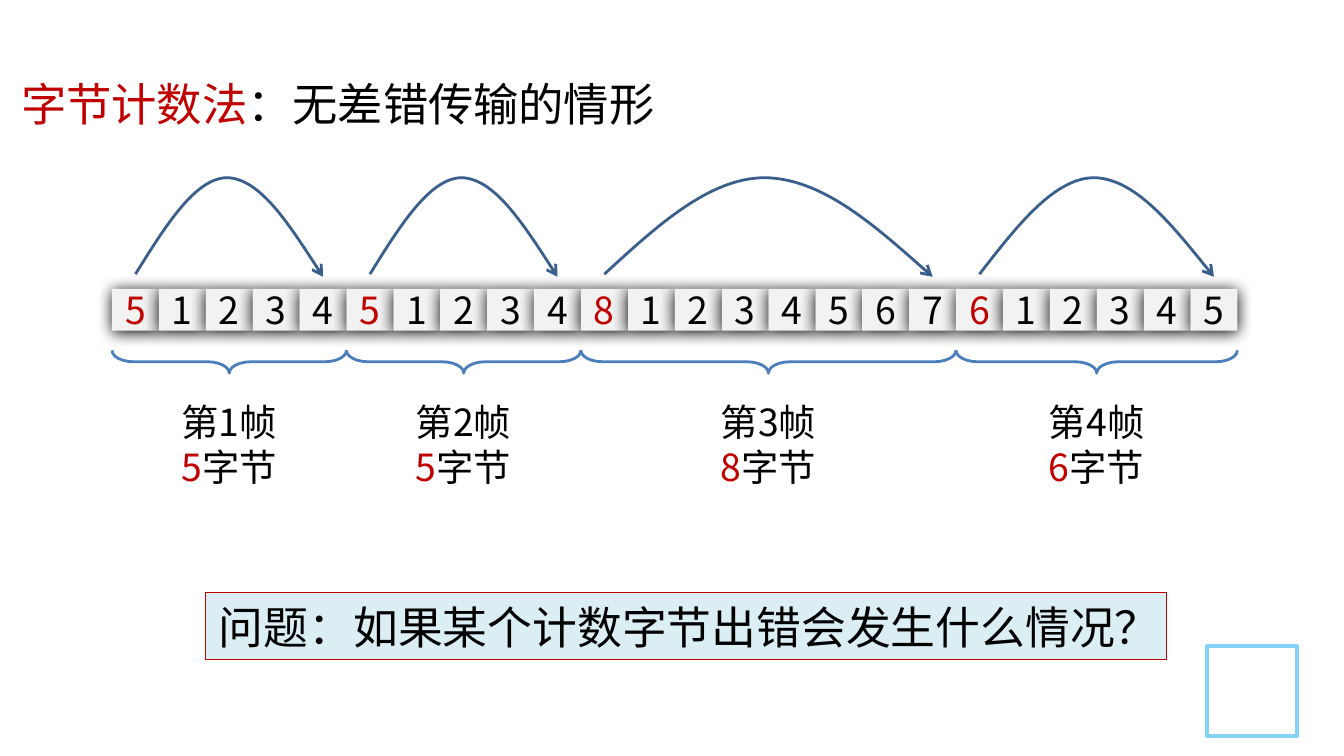
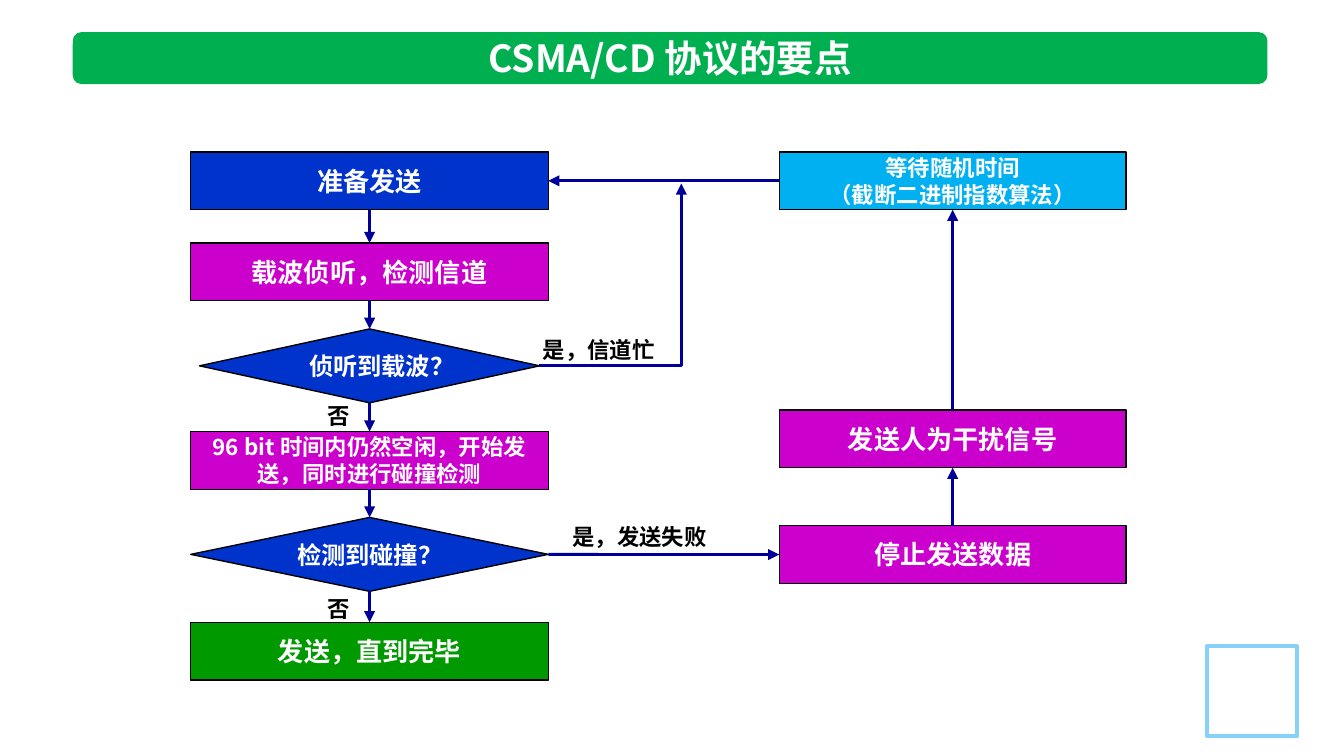
from dataclasses import dataclass

from lxml import etree
from pptx import Presentation
from pptx.dml.color import RGBColor
from pptx.enum.shapes import MSO_CONNECTOR, MSO_SHAPE
from pptx.enum.text import MSO_ANCHOR, MSO_AUTO_SIZE, PP_ALIGN
from pptx.oxml.ns import qn
from pptx.util import Pt

RECT, ROUND, DIAMOND, BRACE = (MSO_SHAPE.RECTANGLE, MSO_SHAPE.ROUNDED_RECTANGLE,
                               MSO_SHAPE.DIAMOND, MSO_SHAPE.LEFT_BRACE)
STRAIGHT, ELBOW = MSO_CONNECTOR.STRAIGHT, MSO_CONNECTOR.ELBOW
LEFT, CENTER = PP_ALIGN.LEFT, PP_ALIGN.CENTER
TOP, MIDDLE = MSO_ANCHOR.TOP, MSO_ANCHOR.MIDDLE
FIT_SHAPE = MSO_AUTO_SIZE.SHAPE_TO_FIT_TEXT
SITE_TOP, SITE_LEFT, SITE_BOTTOM, SITE_RIGHT = range(4)

CJK, LATIN = "Noto Sans CJK SC", "Calibri"
COLORS = {
    "black": "000000", "white": "FFFFFF", "red": "C00000", "corner": "85D1F7",
    "cell": "F2F2F2", "brace": "4B7EBC", "arc": "3A5F8C", "question": "DBEEF4",
    "band": "00B050", "blue": "0033CC", "purple": "CC00CC", "green": "009900",
    "sky": "00B0F0", "arrow": "000099",
}

# Byte row on the first slide
ROW_LEFT, ROW_TOP, CELL_W, CELL_H = 60, 154.8, 25.12, 22.4
BRACE_Y, BRACE_H = 193.8, 12.2
CAPTION_TOP, CAPTION_W, CAPTION_H = 210.2, 75, 55.4
FRAME_SIZES = [5, 5, 8, 6]
# Two cubic curves: share of the span, and height
ARC = [(0, 146.9), (0.16, 121), (0.32, 95.2), (0.49, 95.2),
       (0.66, 95.8), (0.83, 121.7), (1, 148.3)]

# Flow chart on the second slide
LEFT_X, LEFT_W, RIGHT_X, RIGHT_W = 198, 191.5, 510.4, 185.8
BOX_H, DIAMOND_H = 31, 39.6


@dataclass
class Node:
    name: str
    lines: list[str]
    cx: float
    top: float
    width: float
    color: str
    size: float = 14
    kind: MSO_SHAPE = RECT
    height: float = BOX_H


@dataclass
class Link:
    start: str
    start_site: int
    end: str
    end_site: int


@dataclass
class Label:
    text: str
    left: float
    top: float
    width: float


NODES = [
    Node("ready", ["准备发送"], LEFT_X, 81.4, LEFT_W, "blue"),
    Node("listen", ["载波侦听，检测信道"], LEFT_X, 130.2, LEFT_W, "purple"),
    Node("carrier", ["侦听到载波？"], LEFT_X, 176.2, 182.2, "blue", 13, DIAMOND, DIAMOND_H),
    Node("send", ["96 bit 时间内仍然空闲，开始发送，同时进行碰撞检测"],
         LEFT_X, 231.2, LEFT_W, "purple", 12),
    Node("collision", ["检测到碰撞？"], LEFT_X, 277.2, LEFT_W, "blue", 13, DIAMOND, DIAMOND_H),
    Node("finish", ["发送，直到完毕"], LEFT_X, 333.4, LEFT_W, "green"),
    Node("stop", ["停止发送数据"], RIGHT_X, 281.6, RIGHT_W, "purple"),
    Node("wait", ["等待随机时间", "（截断二进制指数算法）"], RIGHT_X, 81.4, RIGHT_W, "sky", 12),
    Node("jam", ["发送人为干扰信号"], RIGHT_X, 219.6, RIGHT_W, "purple"),
]
MAIN_FLOW = ["ready", "listen", "carrier", "send", "collision", "finish"]
LINKS = [Link(a, SITE_BOTTOM, b, SITE_TOP) for a, b in zip(MAIN_FLOW, MAIN_FLOW[1:])] + [
    Link("collision", SITE_RIGHT, "stop", SITE_LEFT),
    Link("stop", SITE_TOP, "jam", SITE_BOTTOM),
    Link("jam", SITE_TOP, "wait", SITE_BOTTOM),
    Link("wait", SITE_LEFT, "ready", SITE_RIGHT),
]
LABELS = [
    Label("是，信道忙", 283.7, 176.4, 74.9),
    Label("是，发送失败", 299.5, 276.8, 87.1),
    Label("否", 168.5, 315.4, 26.6),
    Label("否", 168.5, 211.7, 26.6),
]


# Shared helpers
def rgb(name: str) -> RGBColor:
    return RGBColor.from_string(COLORS[name])


def write(sp, lines: list, *, size: float, color: str = "black", font: str = CJK,
          bold: bool = False, align=CENTER, anchor=TOP, wrap: bool = True,
          fit: bool = False, insets: tuple = (7.2, 3.6)) -> None:
    """Each line is a string or a list of (text, colour) runs."""
    tf = sp.text_frame
    tf.word_wrap, tf.vertical_anchor = wrap, anchor
    tf.margin_left = tf.margin_right = Pt(insets[0])
    tf.margin_top = tf.margin_bottom = Pt(insets[1])
    if fit:
        tf.auto_size = FIT_SHAPE
    for i, line in enumerate(lines):
        p = tf.paragraphs[0] if i == 0 else tf.add_paragraph()
        p.alignment = align
        for text, tint in [(line, color)] if isinstance(line, str) else line:
            r = p.add_run()
            r.text = text
            r.font.size, r.font.bold, r.font.name = Pt(size), bold, font
            r.font.color.rgb = rgb(tint)
            etree.SubElement(r.font._element, qn("a:ea"), typeface=font)


def add_box(s, kind, left: float, top: float, width: float, height: float, *,
            fill: str = "", line: str = "", weight: float = 0.75):
    sp = s.shapes.add_shape(kind, Pt(left), Pt(top), Pt(width), Pt(height))
    sp.shadow.inherit = False
    if fill:
        sp.fill.solid()
        sp.fill.fore_color.rgb = rgb(fill)
    else:
        sp.fill.background()
    if line:
        sp.line.color.rgb, sp.line.width = rgb(line), Pt(weight)
    else:
        sp.line.fill.background()
    return sp


def add_text(s, left: float, top: float, width: float, height: float, lines: list, **fmt):
    sp = s.shapes.add_textbox(Pt(left), Pt(top), Pt(width), Pt(height))
    write(sp, lines, fit=True, **fmt)


def add_arrowhead(sp, color: str, head: str) -> None:
    sp.line.color.rgb, sp.line.width = rgb(color), Pt(1.5)
    etree.SubElement(sp.line._get_or_add_ln(), qn("a:tailEnd"), type=head)


def add_arrow(s, kind, x1: float = 0, y1: float = 0, x2: float = 0, y2: float = 0):
    c = s.shapes.add_connector(kind, Pt(x1), Pt(y1), Pt(x2), Pt(y2))
    add_arrowhead(c, "arrow", "triangle")
    etree.SubElement(c._element.spPr, qn("a:effectLst"))
    return c


def new_slide(prs):
    s = prs.slides.add_slide(prs.slide_layouts[6])
    add_box(s, RECT, 646.6, 346.3, 48.2, 48.2, fill="white", line="corner", weight=2)
    return s


# Byte counting slide
def add_cell(s, left: float, digit: int, color: str) -> None:
    sp = add_box(s, RECT, left, ROW_TOP, CELL_W, CELL_H, fill="cell")
    effects = sp._element.spPr.find(qn("a:effectLst"))
    shadow = etree.SubElement(effects, qn("a:outerShdw"), blurRad=str(Pt(8.5)),
                              dist=str(Pt(1)), dir="5400000", algn="t", rotWithShape="0")
    etree.SubElement(shadow, qn("a:srgbClr"), val=COLORS["black"])
    write(sp, [str(digit)], size=20, color=color, anchor=MIDDLE, wrap=False, insets=(1.4, 3.6))


def add_arc(s, x1: float, x2: float) -> None:
    points = [(Pt(x1 + t * (x2 - x1)), Pt(y)) for t, y in ARC]
    builder = s.shapes.build_freeform(*points[0])
    builder.add_line_segments(points[1:], close=False)
    sp = builder.convert_to_shape()
    # Join every three segments into one cubic curve
    segments = list(sp._element.iter(qn("a:lnTo")))
    for i in range(0, len(segments), 3):
        curve = etree.Element(qn("a:cubicBezTo"))
        segments[i].addprevious(curve)
        for segment in segments[i:i + 3]:
            curve.append(segment[0])
            segment.getparent().remove(segment)
    sp.shadow.inherit = False
    sp.fill.background()
    add_arrowhead(sp, "arc", "arrow")


def add_frame(s, number: int, left: float, size: int) -> None:
    width = size * CELL_W
    cx = left + width / 2
    brace = add_box(s, BRACE, cx - BRACE_H / 2, BRACE_Y - width / 2, BRACE_H, width,
                    line="brace", weight=1.5)
    brace.rotation = 270
    brace.adjustments[0], brace.adjustments[1] = 0.95, 0.5
    add_text(s, cx - CAPTION_W / 2, CAPTION_TOP, CAPTION_W, CAPTION_H,
             [f"第{number}帧", [(str(size), "red"), ("字节", "black")]], size=20)
    for i in range(size):
        add_cell(s, left + i * CELL_W, i or size, "black" if i else "red")


def build_counting(prs) -> None:
    s = new_slide(prs)
    left, spans = ROW_LEFT, []
    for number, size in enumerate(FRAME_SIZES, 1):
        add_frame(s, number, left, size)
        spans.append((left + CELL_W / 2, left + (size - 0.5) * CELL_W))
        left += size * CELL_W
    for x1, x2 in spans:
        add_arc(s, x1, x2)
    sp = add_box(s, RECT, 110.2, 317.5, 514.8, 36, fill="question", line="red")
    write(sp, ["问题：如果某个计数字节出错会发生什么情况？"], size=24, font=LATIN,
          align=LEFT, fit=True)
    add_text(s, 4.3, 37.4, 357.1, 36.7,
             [[("字节计数法", "red"), ("：无差错传输的情形", "black")]],
             size=24.3, font=LATIN, align=LEFT, wrap=False)


# CSMA/CD slide
def build_flow(prs) -> None:
    s = new_slide(prs)
    add_box(s, ROUND, 39, 17.2, 640, 27.8, fill="band")
    add_text(s, 247.7, 15.1, 222.5, 31.7, ["CSMA/CD 协议的要点"], size=20,
             color="white", bold=True, wrap=False)
    shapes = {}
    for n in NODES:
        sp = add_box(s, n.kind, n.cx - n.width / 2, n.top, n.width, n.height,
                     fill=n.color, line="black")
        write(sp, n.lines, size=n.size, color="white", bold=True, anchor=MIDDLE)
        shapes[n.name] = sp
    for link in LINKS:
        c = add_arrow(s, STRAIGHT)
        c.begin_connect(shapes[link.start], link.start_site)
        c.end_connect(shapes[link.end], link.end_site)
    # Busy channel: right, then up to the return line
    c = add_arrow(s, ELBOW, 289, 196, 365, 98.4)
    c._element.spPr.find(qn("a:prstGeom")).set("prst", "bentConnector2")
    for b in LABELS:
        add_text(s, b.left, b.top, b.width, 21.6, [b.text], size=12, bold=True,
                 align=LEFT, wrap=False)


def main() -> None:
    prs = Presentation()
    prs.slide_width, prs.slide_height = Pt(720), Pt(405)
    build_counting(prs)
    build_flow(prs)
    prs.save("out.pptx")


if __name__ == "__main__":
    main()
